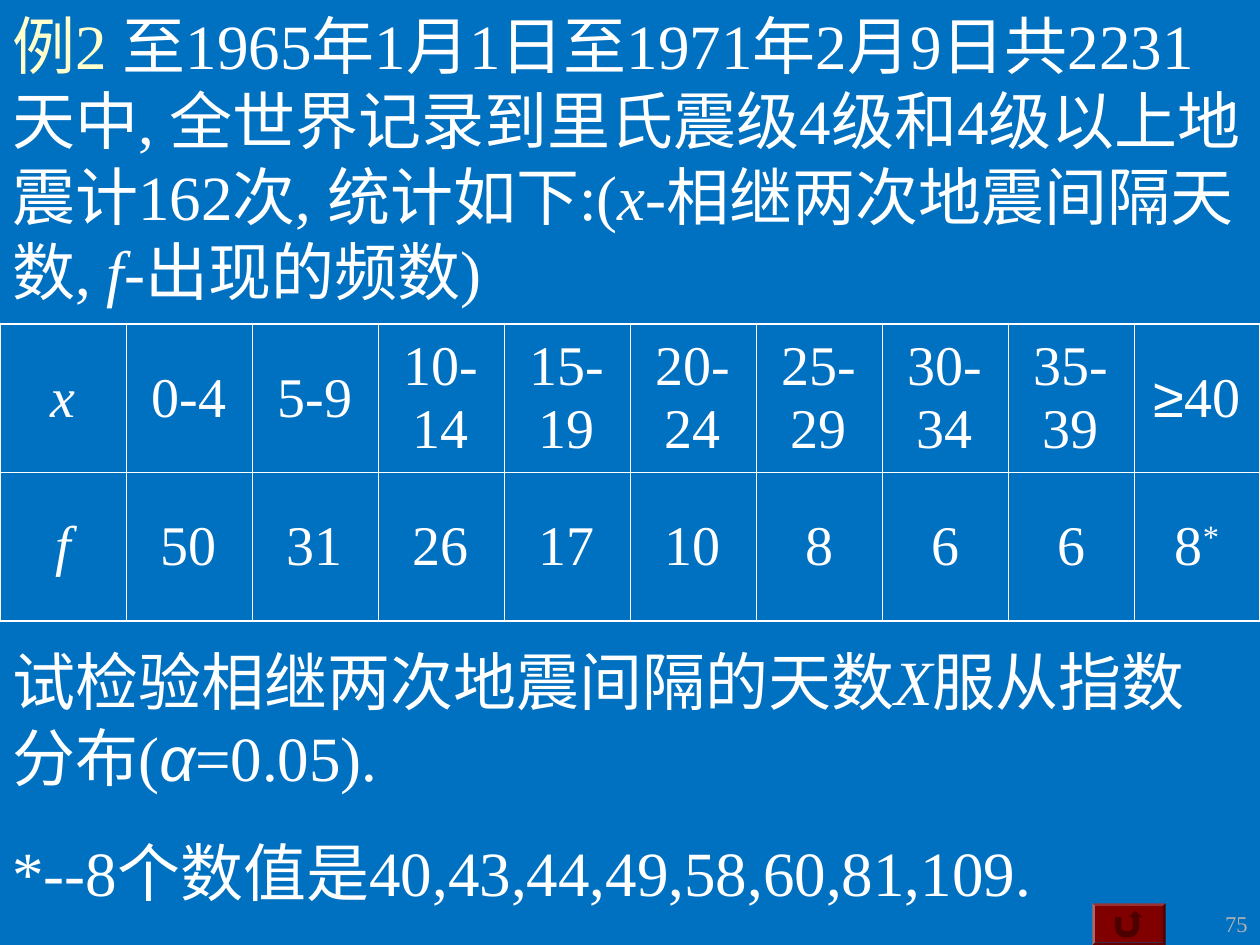
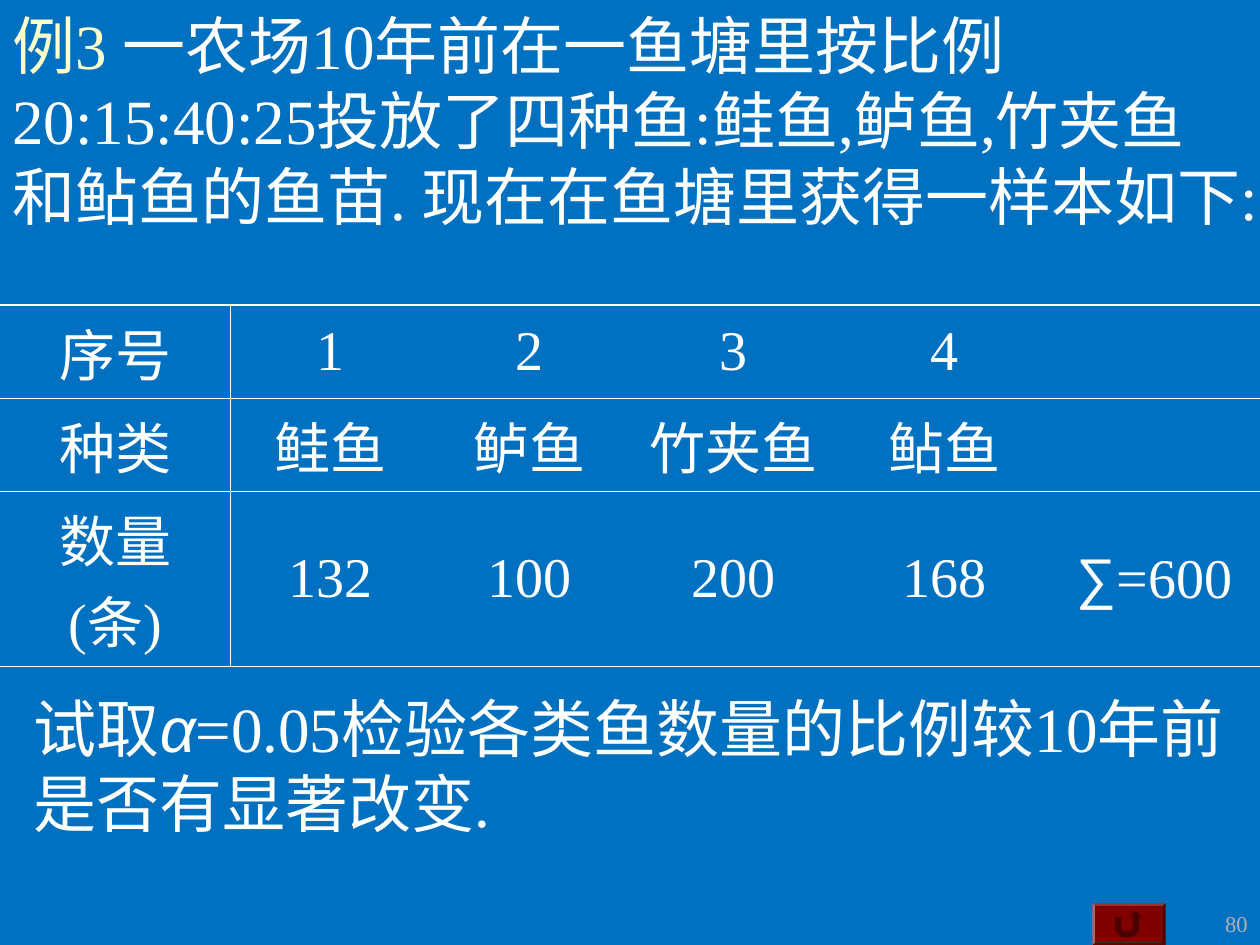
import math

from lxml import etree
from pptx import Presentation
from pptx.dml.color import RGBColor
from pptx.enum.shapes import MSO_SHAPE
from pptx.enum.text import MSO_ANCHOR, PP_ALIGN
from pptx.oxml.ns import qn
from pptx.util import Emu, Inches, Pt

COLORS = {"background": "0070C0", "text": "FFFFFF", "label": "FFFFCC",
          "page": "B2B2B2", "button": "800000", "arrow": "4D0000"}
FONT, SYMBOL_FONT = "Times New Roman", "Arial"
BODY_SIZE, CELL_SIZE, PAGE_SIZE = 36, 32, 12.9
OUTER, INNER = 1.08, 0.45
LEFT, CENTER, RIGHT = PP_ALIGN.LEFT, PP_ALIGN.CENTER, PP_ALIGN.RIGHT
TOP, MIDDLE = MSO_ANCHOR.TOP, MSO_ANCHOR.MIDDLE
BEVEL = MSO_SHAPE.BEVEL


def rgb(name):
    return RGBColor.from_string(COLORS[name])


def write(p, parts, size, color="text", align=LEFT, before=0):
    """Fill p with plain strings or (text, style) pairs; style may join
    italic, symbol, super and label."""
    p.alignment = align
    p.space_before = Pt(before)
    for part in [parts] if isinstance(parts, str) else parts:
        text, style = (part, "") if isinstance(part, str) else part
        r = p.add_run()
        r.text = text
        r.font.size = Pt(size)
        r.font.name = SYMBOL_FONT if "symbol" in style else FONT
        r.font.italic = "italic" in style
        r.font.color.rgb = rgb("label" if "label" in style else color)
        if "super" in style:
            r.font._element.set("baseline", "30000")


def add_text(slide, box, paragraphs, size=BODY_SIZE, **style):
    sp = slide.shapes.add_textbox(*map(Inches, box))
    tf = sp.text_frame
    tf.word_wrap = True
    tf.vertical_anchor = TOP
    for i, parts in enumerate(paragraphs):
        p = tf.add_paragraph() if i else tf.paragraphs[0]
        write(p, parts, size, **style)


def set_borders(cell, widths):
    """Draw left, right, top and bottom lines; a width of 0 hides one."""
    tcPr = cell._tc.get_or_add_tcPr()
    for i, (side, width) in enumerate(zip("LRTB", widths)):
        ln = etree.Element(qn(f"a:ln{side}"), w=str(Pt(width)))
        if width:
            fill = etree.SubElement(ln, qn("a:solidFill"))
            etree.SubElement(fill, qn("a:srgbClr"), val=COLORS["text"])
        else:
            etree.SubElement(ln, qn("a:noFill"))
        tcPr.insert(i, ln)


def add_data_table(slide, top, col_widths, row_heights, rows, v_lines):
    """v_lines holds the width of each vertical line, from left to right."""
    h_lines = [OUTER] + [INNER] * (len(rows) - 1) + [OUTER]
    table = slide.shapes.add_table(
        len(rows), len(col_widths), 0, Inches(top),
        Inches(sum(col_widths)), Inches(sum(row_heights))).table
    table.first_row = table.horz_banding = False
    for column, width in zip(table.columns, col_widths):
        column.width = Inches(width)
    for row, height in zip(table.rows, row_heights):
        row.height = Inches(height)
    for r, row in enumerate(rows):
        for c, parts in enumerate(row):
            cell = table.cell(r, c)
            cell.fill.background()
            cell.vertical_anchor = MIDDLE
            write(cell.text_frame.paragraphs[0], parts, CELL_SIZE,
                  align=CENTER, before=8)
            set_borders(cell, v_lines[c:c + 2] + h_lines[r:r + 2])


def paint(sp, color):
    sp.shadow.inherit = False
    sp.fill.solid()
    sp.fill.fore_color.rgb = rgb(color)
    sp.line.fill.background()


def arc(cx, cy, radius, start, end):
    """Points on a circle; 0 degrees is right and 90 is down."""
    step = (end - start) / 6
    angles = [math.radians(start + step * i) for i in range(7)]
    return [(cx + radius * math.cos(a), cy + radius * math.sin(a)) for a in angles]


def add_return_button(slide, left, top, width, height):
    button = slide.shapes.add_shape(BEVEL, *map(Inches, (left, top, width, height)))
    button.adjustments[0] = 0.06
    paint(button, "button")

    outline = [(0, 0.05), (0.05, 0.05),
               *arc(0.08, 0.13, 0.03, 180, 90), *arc(0.11, 0.13, 0.03, 90, 0),
               (0.14, 0.05), (0.11, 0.05), (0.16, 0), (0.22, 0.05), (0.19, 0.05),
               *arc(0.11, 0.13, 0.08, 0, 90), *arc(0.08, 0.13, 0.08, 90, 180)]
    points = [(Inches(left + 0.18 + x), Inches(top + 0.06 + y)) for x, y in outline]
    builder = slide.shapes.build_freeform(*points[0], scale=1.0)
    builder.add_line_segments(points[1:], close=True)
    paint(builder.convert_to_shape(Emu(0), Emu(0)), "arrow")


def new_slide(prs, page, label, title):
    slide = prs.slides.add_slide(prs.slide_layouts[6])
    fill = slide.background.fill
    fill.solid()
    fill.fore_color.rgb = rgb("background")
    add_return_button(slide, 8.67, 7.17, 0.58, 0.33)
    add_text(slide, (9.33, 7.17, 0.67, 0.33), [page], PAGE_SIZE,
             color="page", align=RIGHT)
    add_text(slide, (0, 0, 10, 2.5), [[(label + " ", "label"), *title]])
    return slide


def earthquake_slide(prs):
    slide = new_slide(prs, "75", "例2", [
        "至1965年1月1日至1971年2月9日共2231天中, "
        "全世界记录到里氏震级4级和4级以上地震计162次, 统计如下:(",
        ("x", "italic"), "-相继两次地震间隔天数, ",
        ("f", "italic"), "-出现的频数)"])
    intervals = ["0-4", "5-9"] + [f"{n}-{n + 4}" for n in range(10, 40, 5)]
    counts = ["50", "31", "26", "17", "10", "8", "6", "6"]
    rows = [[[("x", "italic")], *intervals, [("≥", "symbol"), "40"]],
            [[("f", "italic")], *counts, ["8", ("*", "super")]]]
    add_data_table(slide, 2.57, [1] * 10, [1.18] * 2, rows,
                   [OUTER] + [INNER] * 9 + [OUTER])
    add_text(slide, (0, 5.05, 10, 2.22), [
        ["试检验相继两次地震间隔的天数", ("X", "italic"), "服从指数分布(",
         ("α", "symbol italic"), "=0.05)."],
        "*--8个数值是40,43,44,49,58,60,81,109."], before=22.5)


def fish_slide(prs):
    slide = new_slide(prs, "80", "例3", [
        "一农场10年前在一鱼塘里按比例20:15:40:25投放了四种鱼:"
        "鲑鱼,鲈鱼,竹夹鱼和鲇鱼的鱼苗. 现在在鱼塘里获得一样本如下:"])
    rows = [["序号", "1", "2", "3", "4", []],
            ["种类", "鲑鱼", "鲈鱼", "竹夹鱼", "鲇鱼", []],
            ["数量(条)", "132", "100", "200", "168", [("∑", "symbol"), "=600"]]]
    add_data_table(slide, 2.42, [1.83] + [1.58] * 2 + [1.67] * 3,
                   [0.74, 0.74, 1.39], rows, [0, INNER, 0, 0, 0, 0, 0])
    add_text(slide, (0.17, 5.42, 9.75, 1.3), [
        ["试取", ("α", "symbol italic"),
         "=0.05检验各类鱼数量的比例较10年前是否有显著改变."]], before=22.5)


def main():
    prs = Presentation()
    prs.slide_width, prs.slide_height = Inches(10), Inches(7.5)
    earthquake_slide(prs)
    fish_slide(prs)
    prs.save("out.pptx")


if __name__ == "__main__":
    main()
